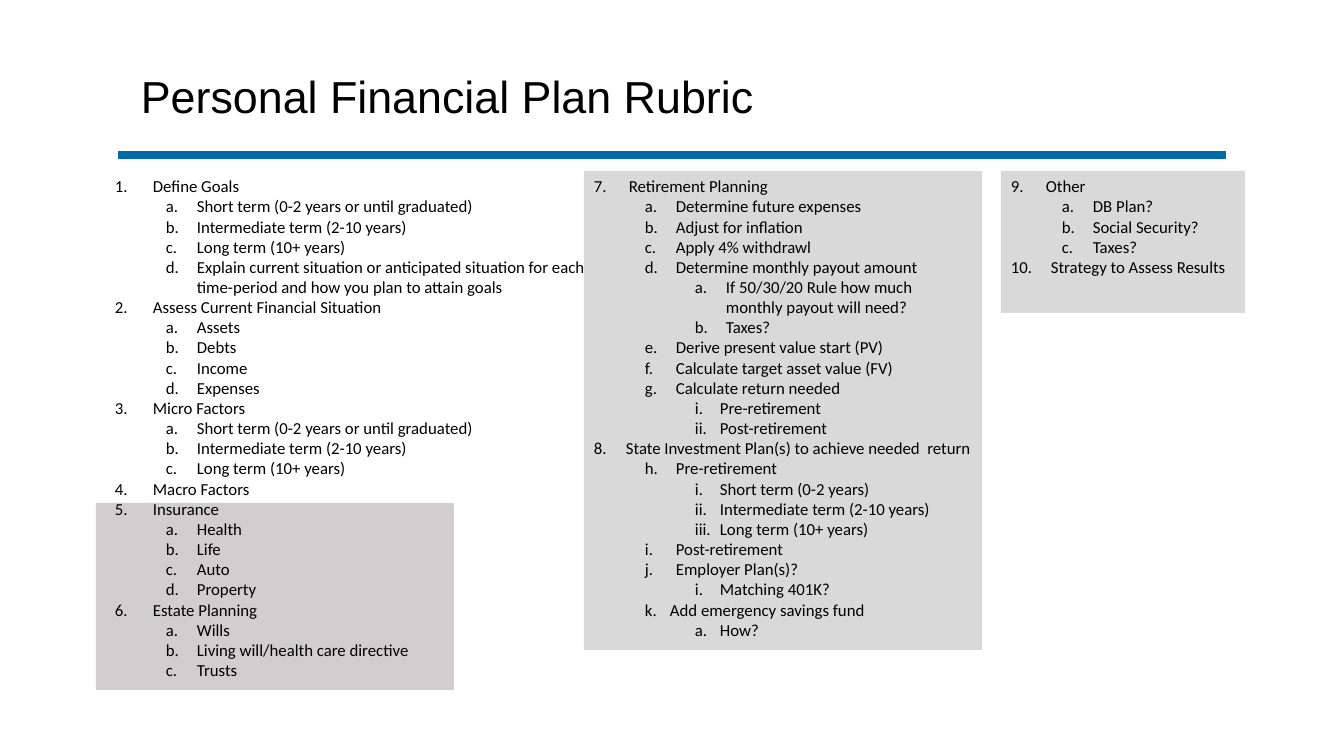
"""Build the Personal Financial Plan Rubric slide."""
from lxml.etree import SubElement
from pptx import Presentation
from pptx.dml.color import RGBColor as Rgb
from pptx.enum.shapes import MSO_CONNECTOR as Conn, MSO_SHAPE as Form
from pptx.enum.text import MSO_ANCHOR as Anchor, PP_ALIGN as Align
from pptx.oxml.ns import qn
from pptx.util import Pt

PX = 9071.43
HUES = {"ink": "000000", "rule": "006CA7", "warm": "D0CECE", "grey": "D9D9D9"}
TITLE = "Personal Financial Plan Rubric"

# kind: level, left px, hang px, numbering, first number
KINDS = {
    "head": (0, 38, 38, "arabicPeriod", 1),
    "head7": (0, 35, 35, "arabicPeriod", 7),
    "head8": (0, 32, 32, "arabicPeriod", 7),
    "head9": (0, 35, 35, "arabicPeriod", 9),
    "head10": (0, 40, 40, "arabicPeriod", 9),
    "sub": (1, 82, 31, "alphaLcPeriod", 1),
    "sub8": (1, 82, 31, "alphaLcPeriod", 8),
    "sub11": (1, 76, 25, "alphaLcPeriod", 11),
    "note": (2, 132, 31, "alphaLcPeriod", 1),
    "how": (2, 126, 25, "alphaLcPeriod", 1),
    "step": (2, 126, 25, "romanLcPeriod", 1),
}
TERMS = [
    ("sub", "Short term (0-2 years or until graduated)"),
    ("sub", "Intermediate term (2-10 years)"),
    ("sub", "Long term (10+ years)"),
]
BASICS = [
    ("head", "Define Goals"),
    *TERMS,
    ("sub", "Explain current situation or anticipated situation for each "
            "time-period and how you plan to attain goals"),
    ("head", "Assess Current Financial Situation"),
    ("sub", "Assets"),
    ("sub", "Debts"),
    ("sub", "Income"),
    ("sub", "Expenses"),
    ("head", "Micro Factors"),
    *TERMS,
    ("head", "Macro Factors"),
    ("head", "Insurance"),
    ("sub", "Health"),
    ("sub", "Life"),
    ("sub", "Auto"),
    ("sub", "Property"),
    ("head", "Estate Planning"),
    ("sub", "Wills"),
    ("sub", "Living will/health care directive"),
    ("sub", "Trusts"),
]
RETIRE = [
    ("head7", "Retirement Planning"),
    ("sub", "Determine future expenses"),
    ("sub", "Adjust for inflation"),
    ("sub", "Apply 4% withdrawl"),
    ("sub", "Determine monthly payout amount"),
    ("note", "If 50/30/20 Rule how much monthly payout will need?"),
    ("note", "Taxes?"),
    ("sub", "Derive present value start (PV)"),
    ("sub", "Calculate target asset value (FV)"),
    ("sub", "Calculate return needed"),
    ("step", "Pre-retirement"),
    ("step", "Post-retirement"),
    ("head8", "State Investment Plan(s) to achieve needed  return"),
    ("sub8", "Pre-retirement"),
    ("step", "Short term (0-2 years)"),
    ("step", "Intermediate term (2-10 years)"),
    ("step", "Long term (10+ years)"),
    ("sub8", "Post-retirement"),
    ("sub8", "Employer Plan(s)?"),
    ("step", "Matching 401K?"),
    ("sub11", "Add emergency savings fund"),
    ("how", "How?"),
]
OTHER = [
    ("head9", "Other"),
    ("sub", "DB Plan?"),
    ("sub", "Social Security?"),
    ("sub", "Taxes?"),
    ("head10", "Strategy to Assess Results"),
]
# left, top, width, height, fill, lines
COLUMNS = [
    (105, 171, 507, 559, None, BASICS),
    (584, 171, 398, 479, "grey", RETIRE),
    (1001, 171, 244, 142, "grey", OTHER),
]


def emu(n):
    return round(n * PX)


def hue(name):
    return Rgb.from_string(HUES[name])


def box(slide, area, fill=None):
    spot = [emu(n) for n in area]
    if not fill:
        return slide.shapes.add_textbox(*spot)
    shape = slide.shapes.add_shape(Form.RECTANGLE, *spot)
    shape.shadow.inherit = False
    shape.fill.solid()
    shape.fill.fore_color.rgb = hue(fill)
    shape.line.fill.background()
    return shape


def write(shape, lines, font="Calibri", size=12, anchor=Anchor.TOP, space=1.0):
    frame = shape.text_frame
    frame.word_wrap = True
    frame.vertical_anchor = anchor
    for i, (kind, text) in enumerate(lines):
        para = frame.add_paragraph() if i else frame.paragraphs[0]
        para.alignment = Align.LEFT
        para.line_spacing = space
        run = para.add_run()
        run.text = text
        run.font.name = font
        run.font.size = Pt(size)
        run.font.color.rgb = hue("ink")
        if kind:
            number(para, *KINDS[kind])


def number(para, level, left, hang, scheme, start):
    para.level = level
    props = para._p.get_or_add_pPr()
    props.set("marL", str(emu(left)))
    props.set("indent", str(-emu(hang)))
    mark = SubElement(props, qn("a:buAutoNum"), type=scheme)
    if start > 1:
        mark.set("startAt", str(start))


def main():
    deck = Presentation()
    deck.slide_width, deck.slide_height = emu(1344), emu(756)
    slide = deck.slides.add_slide(deck.slide_layouts[6])
    rule = slide.shapes.add_connector(
        Conn.STRAIGHT, emu(118), emu(155), emu(1226), emu(155))
    rule.line.color.rgb = hue("rule")
    rule.line.width = Pt(6)
    SubElement(rule._element.spPr, qn("a:effectLst"))
    box(slide, (96, 503, 358, 187), "warm")
    write(box(slide, (131, 52, 1023, 93)), [(None, TITLE)],
          font="Arial", size=32, anchor=Anchor.MIDDLE, space=0.9)
    for *area, fill, lines in COLUMNS:
        write(box(slide, area, fill), lines)
    deck.save("out.pptx")


if __name__ == "__main__":
    main()
